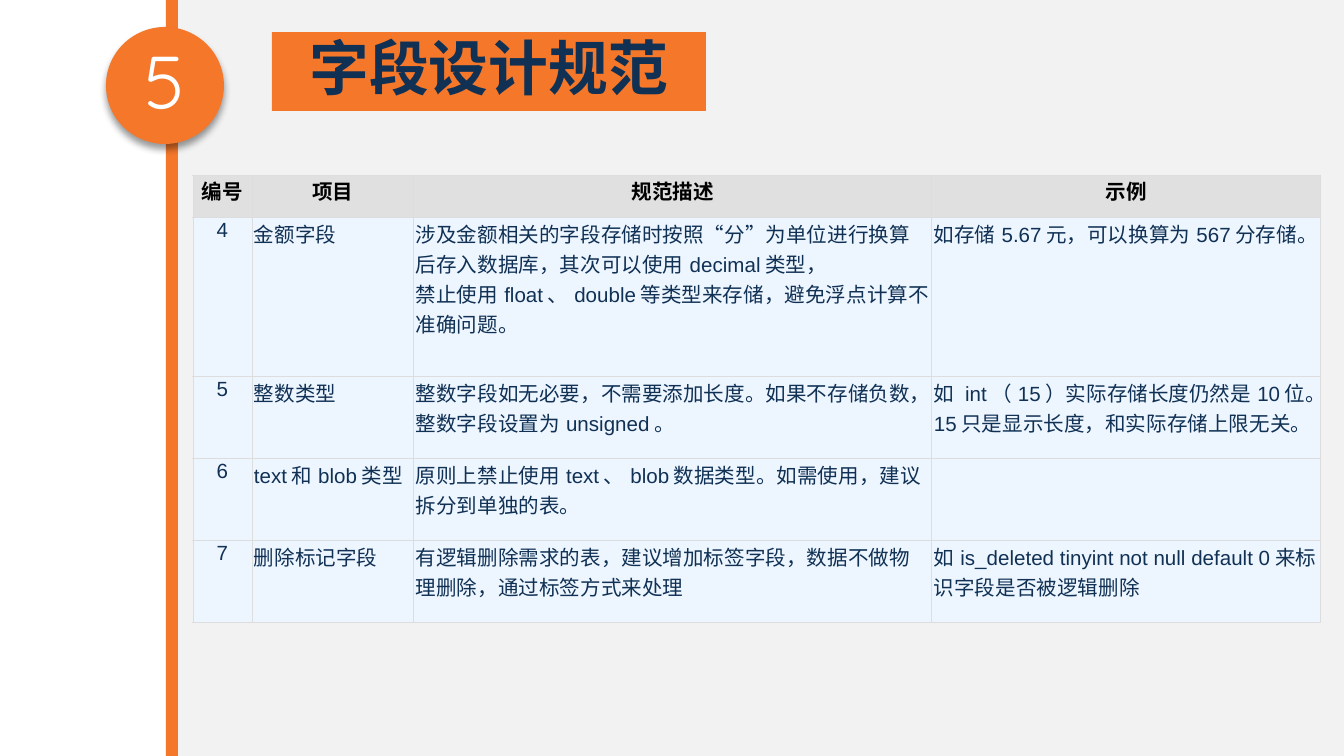
from dataclasses import dataclass

from lxml.etree import SubElement
from pptx import Presentation
from pptx.dml.color import RGBColor
from pptx.enum.shapes import MSO_SHAPE
from pptx.enum.text import MSO_ANCHOR, PP_ALIGN
from pptx.oxml import parse_xml
from pptx.oxml.ns import nsdecls, qn
from pptx.shapes.autoshape import Shape
from pptx.slide import Slide
from pptx.table import _Cell
from pptx.text.text import TextFrame
from pptx.util import Emu, Pt

PIXELS_PER_INCH = 134.4
ORANGE = RGBColor(0xF4, 0x77, 0x2A)
NAVY = RGBColor(0x10, 0x31, 0x54)
WHITE = RGBColor(0xFF, 0xFF, 0xFF)
BLACK = RGBColor(0x00, 0x00, 0x00)
PANEL_GREY = RGBColor(0xF2, 0xF2, 0xF2)
HEADER_GREY = RGBColor(0xE0, 0xE0, 0xE0)
BORDER_GREY = RGBColor(0xDD, 0xDD, 0xDD)
PALE_BLUE = RGBColor(0xED, 0xF5, 0xFF)

COLUMN_WIDTHS = (59, 162, 518, 389)
ROW_HEIGHTS = (43, 159, 82, 82, 82)
HEADINGS = ("编号", "项目", "规范描述", "示例")


def px(length: int) -> Emu:
    return Emu(round(length * 914400 / PIXELS_PER_INCH))


@dataclass(frozen=True)
class Block:
    left: int
    top: int
    width: int
    height: int
    fill: RGBColor
    preset: MSO_SHAPE = MSO_SHAPE.RECTANGLE


@dataclass(frozen=True)
class TextStyle:
    font: str
    size: int
    color: RGBColor
    bold: bool = False


@dataclass(frozen=True)
class Rule:
    number: str
    item: str
    description: str
    example: str = ""

    def texts(self) -> tuple[str, ...]:
        return self.number, self.item, self.description, self.example


PANEL = Block(177, 0, 1167, 756, PANEL_GREY)
STRIPE = Block(166, 0, 12, 756, ORANGE)
BADGE = Block(106, 27, 118, 117, ORANGE, MSO_SHAPE.OVAL)
TITLE = Block(272, 32, 434, 79, ORANGE)

BADGE_STYLE = TextStyle("Quicksand", 40, WHITE)
TITLE_STYLE = TextStyle("Quicksand", 32, NAVY, True)
HEADING_STYLE = TextStyle("Arial", 11, BLACK, True)
BODY_STYLE = TextStyle("Arial", 11, NAVY)

RULES = (
    Rule(
        "4",
        "金额字段",
        "涉及金额相关的字段存储时按照“分”为单位进行换算后存入数据库，其次可以使用decimal类型，\n"
        "禁止使用float、double等类型来存储，避免浮点计算不准确问题。",
        "如存储5.67元，可以换算为567分存储。",
    ),
    Rule(
        "5",
        "整数类型",
        "整数字段如无必要，不需要添加长度。如果不存储负数，整数字段设置为unsigned。",
        "如 int（15）实际存储长度仍然是10位。15只是显示长度，和实际存储上限无关。",
    ),
    Rule(
        "6",
        "text和blob类型",
        "原则上禁止使用text、blob数据类型。如需使用，建议拆分到单独的表。",
    ),
    Rule(
        "7",
        "删除标记字段",
        "有逻辑删除需求的表，建议增加标签字段，数据不做物理删除，通过标签方式来处理",
        "如is_deleted tinyint not null default 0来标识字段是否被逻辑删除",
    ),
)


def write_text(frame: TextFrame, text: str, style: TextStyle, alignment: PP_ALIGN) -> None:
    frame.text = text
    for paragraph in frame.paragraphs:
        paragraph.alignment = alignment
        for run in paragraph.runs:
            run.font.name = style.font
            run.font.size = Pt(style.size)
            run.font.bold = style.bold
            run.font.color.rgb = style.color


def draw_block(slide: Slide, block: Block) -> Shape:
    shape = slide.shapes.add_shape(
        block.preset, px(block.left), px(block.top), px(block.width), px(block.height)
    )
    shape.shadow.inherit = False
    shape.fill.solid()
    shape.fill.fore_color.rgb = block.fill
    shape.line.fill.background()
    return shape


def draw_label(
    slide: Slide, block: Block, text: str, style: TextStyle, anchor: MSO_ANCHOR
) -> Shape:
    shape = draw_block(slide, block)
    frame = shape.text_frame
    frame.word_wrap = True
    frame.vertical_anchor = anchor
    write_text(frame, text, style, PP_ALIGN.CENTER)
    frame.paragraphs[0].line_spacing = 0.9
    return shape


def add_drop_shadow(shape: Shape) -> None:
    effects = shape._element.spPr.find(qn("a:effectLst"))
    effects.append(parse_xml(
        f'<a:outerShdw {nsdecls("a")} blurRad="{Pt(4)}" dist="{Pt(3)}" dir="5400000" '
        'algn="t" rotWithShape="0"><a:srgbClr val="000000"><a:alpha val="40000"/>'
        '</a:srgbClr></a:outerShdw>'
    ))


def add_borders(cell: _Cell) -> None:
    properties = cell._tc.get_or_add_tcPr()
    for index, side in enumerate(("lnL", "lnR", "lnT", "lnB")):
        line = parse_xml(f'<a:{side} {nsdecls("a")} w="{Pt(0.6)}"/>')
        fill = SubElement(line, qn("a:solidFill"))
        SubElement(fill, qn("a:srgbClr"), val=str(BORDER_GREY))
        properties.insert(index, line)


def fill_cell(
    cell: _Cell, text: str, style: TextStyle, alignment: PP_ALIGN, color: RGBColor
) -> None:
    cell.margin_left = cell.margin_right = px(2)
    cell.margin_top = cell.margin_bottom = px(1)
    cell.fill.solid()
    cell.fill.fore_color.rgb = color
    write_text(cell.text_frame, text, style, alignment)
    add_borders(cell)


def draw_rules_table(slide: Slide) -> None:
    table = slide.shapes.add_table(
        len(ROW_HEIGHTS), len(COLUMN_WIDTHS), px(193), px(175),
        px(sum(COLUMN_WIDTHS)), px(sum(ROW_HEIGHTS)),
    ).table
    for column, width in zip(table.columns, COLUMN_WIDTHS):
        column.width = px(width)
    for row, height in zip(table.rows, ROW_HEIGHTS):
        row.height = px(height)
    for column_index, heading in enumerate(HEADINGS):
        fill_cell(
            table.cell(0, column_index), heading, HEADING_STYLE, PP_ALIGN.CENTER, HEADER_GREY
        )
    for row_index, rule in enumerate(RULES, start=1):
        for column_index, text in enumerate(rule.texts()):
            alignment = PP_ALIGN.LEFT if column_index else PP_ALIGN.CENTER
            fill_cell(
                table.cell(row_index, column_index), text, BODY_STYLE, alignment, PALE_BLUE
            )


def main() -> None:
    presentation = Presentation()
    presentation.slide_width = px(1344)
    presentation.slide_height = px(756)
    slide = presentation.slides.add_slide(presentation.slide_layouts[6])
    draw_block(slide, PANEL)
    draw_rules_table(slide)
    draw_block(slide, STRIPE)
    badge = draw_label(slide, BADGE, "5", BADGE_STYLE, MSO_ANCHOR.MIDDLE)
    add_drop_shadow(badge)
    draw_label(slide, TITLE, "字段设计规范", TITLE_STYLE, MSO_ANCHOR.TOP)
    presentation.save("out.pptx")


if __name__ == "__main__":
    main()
